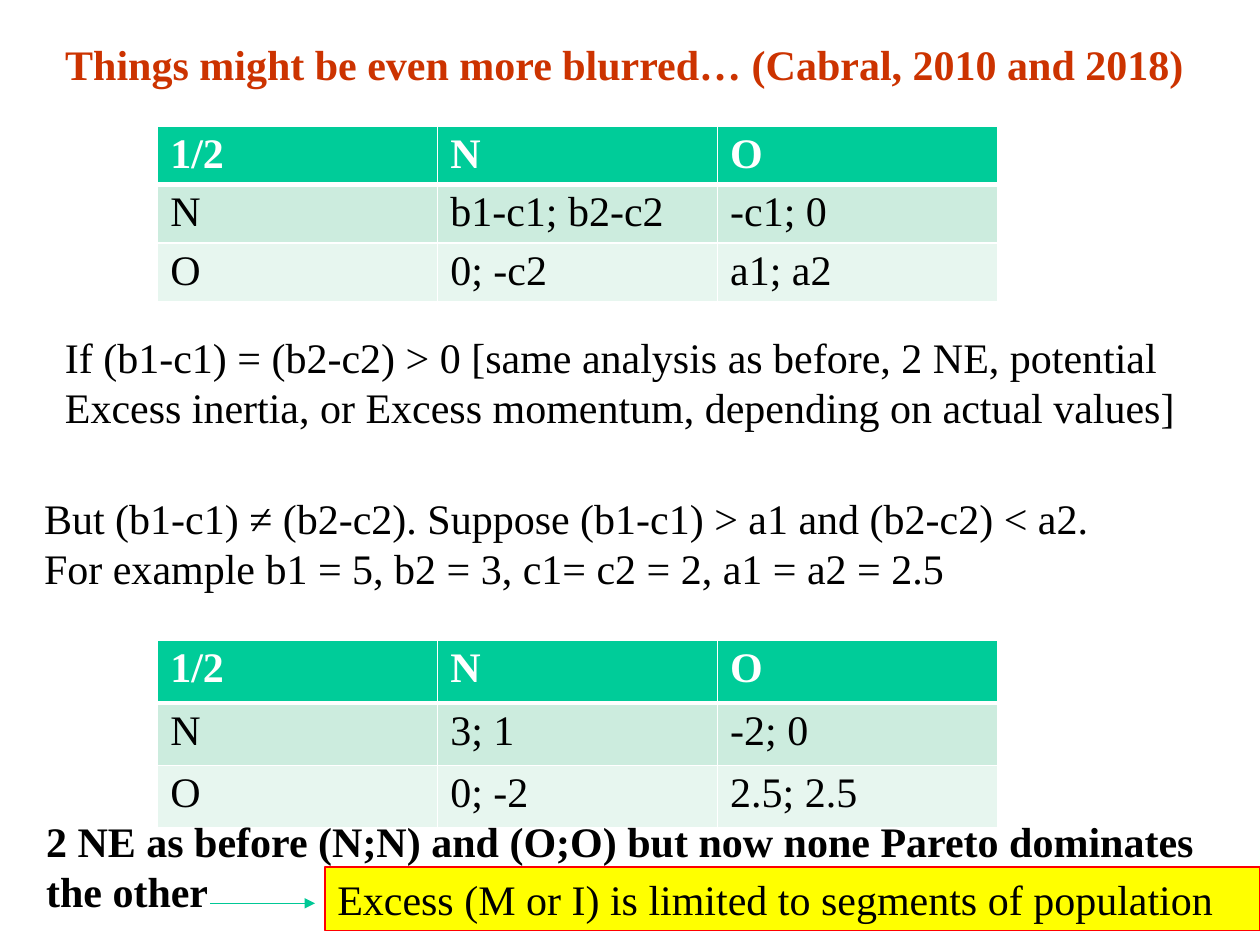
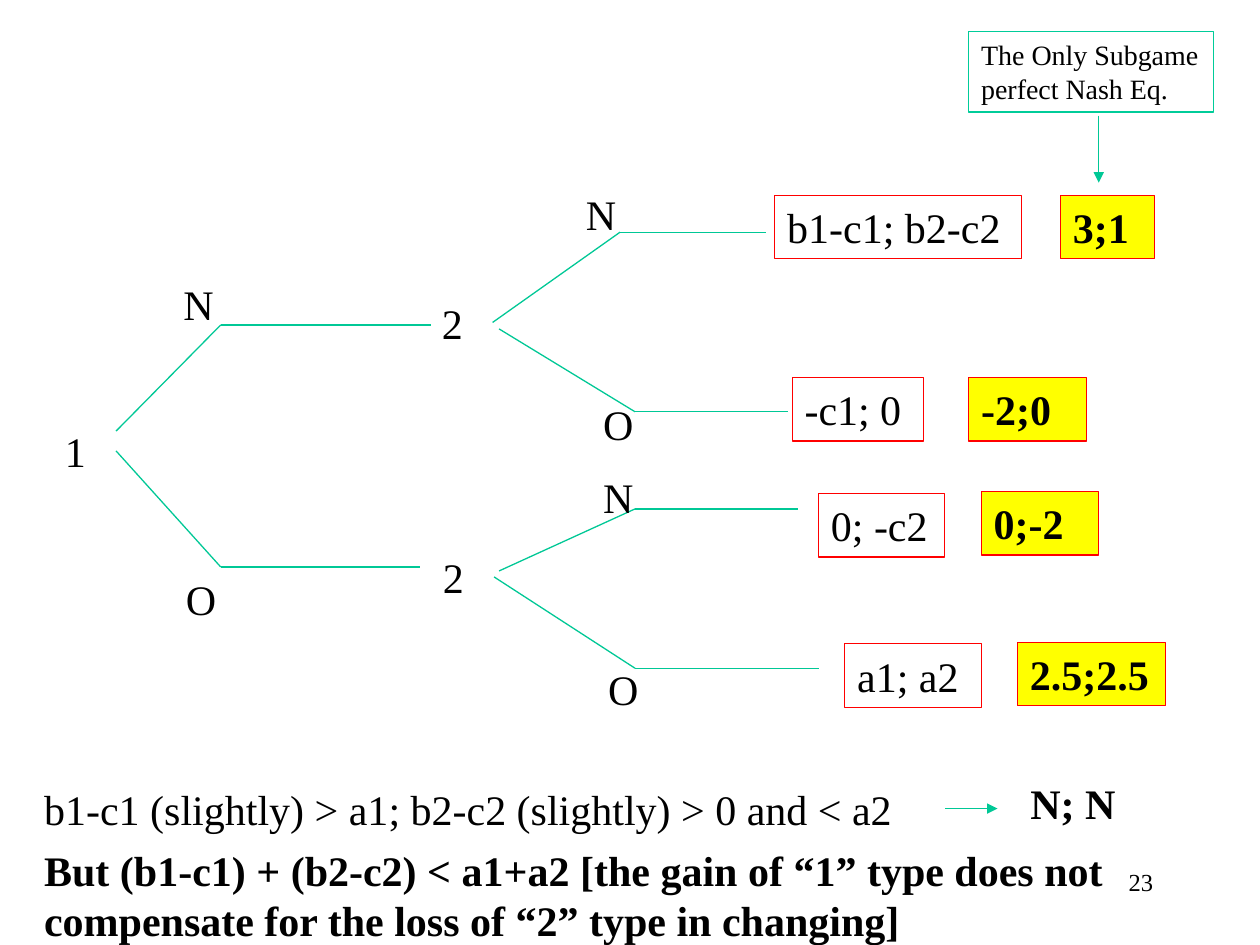
from lxml import etree
from pptx import Presentation
from pptx import util as u
from pptx.dml.color import RGBColor
from pptx.enum import shapes, text
from pptx.oxml.ns import qn

FONT = "Times New Roman"
COLORS = {
    "title": "CC3300", "text": "000000", "white": "FFFFFF",
    "header": "00CC99", "row_dark": "CCECDE", "row_light": "E7F6EF",
    "line": "00C896", "frame": "FF0000", "highlight": "FFFF00",
}
BOX_H = 1.28


def rgb(name):
    return RGBColor.from_string(COLORS[name])


def write(tf, content, size=24, color="text", bold=False, align=text.PP_ALIGN.LEFT):
    tf.text = content
    p = tf.paragraphs[0]
    p.alignment = align
    r = p.runs[0]
    r.font.name = FONT
    r.font.size = u.Pt(size)
    r.font.bold = bold
    r.font.color.rgb = rgb(color)


def place(sp, x, y, w, h):
    sp.left, sp.top, sp.width, sp.height = (u.Cm(v) for v in (x, y, w, h))


def set_frame(tf):
    tf.word_wrap = True
    tf.auto_size = text.MSO_AUTO_SIZE.NONE
    tf.vertical_anchor = text.MSO_ANCHOR.TOP
    tf.margin_left = tf.margin_right = u.Inches(0.1)
    tf.margin_top = tf.margin_bottom = u.Inches(0.05)


def add_title(s, content):
    sp = s.shapes.title
    place(sp, 1.06, 0.64, 23.5, BOX_H)
    set_frame(sp.text_frame)
    write(sp.text_frame, content, color="title", bold=True)


def add_text(s, content, x, y, w, h=BOX_H, **style):
    sp = s.shapes.add_textbox(*(u.Cm(v) for v in (x, y, w, h)))
    set_frame(sp.text_frame)
    write(sp.text_frame, content, **style)


def add_box(s, content, x, y, w, h=BOX_H, fill=None, line="frame", **style):
    sp = s.shapes.add_shape(shapes.MSO_SHAPE.RECTANGLE,
                            *(u.Cm(v) for v in (x, y, w, h)))
    sp.shadow.inherit = False
    if fill:
        sp.fill.solid()
        sp.fill.fore_color.rgb = rgb(fill)
    else:
        sp.fill.background()
    sp.line.color.rgb = rgb(line)
    sp.line.width = u.Pt(0.75)
    set_frame(sp.text_frame)
    write(sp.text_frame, content, **style)


def add_line(s, start, end, arrow=False):
    cx = s.shapes.add_connector(shapes.MSO_CONNECTOR.STRAIGHT,
                                *(u.Cm(v) for v in (*start, *end)))
    cx.line.color.rgb = rgb("line")
    cx.line.width = u.Pt(0.75)
    if arrow:
        etree.SubElement(cx.line._get_or_add_ln(), qn("a:tailEnd"), type="triangle")
    etree.SubElement(cx._element.spPr, qn("a:effectLst"))


def add_branch(s, start, bend, end_x):
    add_line(s, start, bend)
    add_line(s, bend, (end_x, bend[1]))


def set_borders(cell, widths):
    tc_pr = cell._tc.get_or_add_tcPr()
    for i, (side, width) in enumerate(widths.items()):
        ln = etree.Element(qn(f"a:ln{side}"), w=str(u.Pt(width)))
        fill = etree.SubElement(ln, qn("a:solidFill"))
        etree.SubElement(fill, qn("a:srgbClr"), val=COLORS["white"])
        tc_pr.insert(i, ln)


def add_payoff_table(s, y, row_h, rows):
    frame = s.shapes.add_table(len(rows), len(rows[0]), u.Cm(3.18), u.Cm(y),
                               u.Cm(16.93), u.Cm(row_h * len(rows)))
    table = frame.table
    fills = ("header", "row_dark", "row_light")
    for i, row in enumerate(rows):
        table.rows[i].height = u.Cm(row_h)
        for j, content in enumerate(row):
            cell = table.cell(i, j)
            cell.margin_top = cell.margin_bottom = u.Cm(0.1)
            cell.fill.solid()
            cell.fill.fore_color.rgb = rgb(fills[i])
            header = i == 0
            write(cell.text_frame, content, bold=header,
                  color="white" if header else "text")
            set_borders(cell, {"L": 1, "R": 1, "T": 3 if i == 1 else 1,
                               "B": 3 if header else 1})


def build_payoff_slide(prs):
    s = prs.slides.add_slide(prs.slide_layouts[5])
    add_title(s, "Things might be even more blurred… (Cabral, 2010 and 2018)")
    header = ("1/2", "N", "O")
    add_payoff_table(s, 2.54, 1.18, (header, ("N", "b1-c1; b2-c2", "-c1; 0"),
                                     ("O", "0; -c2", "a1; a2")))
    add_text(s, "If (b1-c1) = (b2-c2) > 0 [same analysis as before, 2 NE, potential "
             "Excess inertia, or Excess momentum, depending on actual values]",
             1.06, 6.56, 23.28, 2.31)
    add_text(s, "But (b1-c1) ≠ (b2-c2). Suppose (b1-c1) > a1 and (b2-c2) < a2. "
             "For example b1 = 5, b2 = 3, c1= c2 = 2, a1 = a2 = 2.5",
             0.64, 9.8, 22.44, 2.31)
    add_payoff_table(s, 12.91, 1.26, (header, ("N", "3; 1", "-2; 0"),
                                      ("O", "0; -2", "2.5; 2.5")))
    add_text(s, "2 NE as before (N;N) and (O;O) but now none Pareto dominates the other",
             0.68, 16.31, 24.5, 2.31, bold=True)
    add_line(s, (4.23, 18.21), (6.35, 18.21), arrow=True)
    add_box(s, "Excess (M or I) is limited to segments of population",
            6.55, 17.48, 18.85, fill="highlight")


def build_tree_slide(prs):
    s = prs.slides.add_slide(prs.slide_layouts[6])
    add_text(s, "23", 18.21, 17.35, 5.29, size=14, align=text.PP_ALIGN.RIGHT)

    branches = (
        ((2.34, 8.69), (4.45, 6.55), 8.69),
        ((2.34, 9.09), (4.45, 11.43), 8.46),
        ((9.93, 6.5), (12.5, 4.68), 15.44),
        ((10.06, 6.63), (12.8, 8.3), 15.88),
        ((10.06, 11.51), (12.8, 10.26), 16.08),
        ((9.96, 11.63), (12.8, 13.47), 16.51),
    )
    for branch in branches:
        add_branch(s, *branch)

    labels = (
        ("1", 1.06, 8.46, 1.27), ("N", 3.45, 5.49, 0.85), ("O", 3.5, 11.43, 0.85),
        ("2", 8.66, 5.87, 1.27), ("2", 8.68, 11, 1.27),
        ("N", 11.56, 3.68, 0.64), ("O", 11.91, 7.9, 1.16),
        ("N", 11.91, 9.38, 0.64), ("O", 12.01, 13.26, 0.95),
    )
    for label in labels:
        add_text(s, *label)

    payoffs = (
        ("b1-c1; b2-c2", 15.62, 3.94, 4.98), ("-c1; 0", 15.97, 7.61, 2.65),
        ("0; -c2", 16.5, 9.95, 2.54), ("a1; a2", 17.03, 12.98, 2.76),
    )
    for payoff in payoffs:
        add_box(s, *payoff)

    values = (
        ("3;1", 21.38, 3.94, 1.9), ("-2;0", 19.53, 7.61, 2.37),
        ("0;-2", 19.78, 9.91, 2.37), ("2.5;2.5", 20.51, 12.95, 2.98),
    )
    for value in values:
        add_box(s, *value, fill="highlight", bold=True)

    add_box(s, "The Only Subgame perfect Nash Eq.", 19.53, 0.64, 4.94, 1.62,
            line="header", size=16)
    add_line(s, (22.15, 2.33), (22.15, 3.68), arrow=True)

    add_text(s, "b1-c1 (slightly) > a1; b2-c2 (slightly) > 0 and < a2", 0.64, 15.66, 18.42)
    add_line(s, (19.05, 16.3), (20.11, 16.3), arrow=True)
    add_text(s, "N; N", 20.52, 15.54, 3.94, bold=True)
    add_text(s, "But (b1-c1) + (b2-c2) < a1+a2 [the gain of “1” type does not "
             "compensate for the loss of “2” type in changing]",
             0.64, 16.9, 23.83, 2.31, bold=True)


def main():
    prs = Presentation()
    prs.slide_width, prs.slide_height = u.Cm(25.4), u.Cm(19.05)
    build_payoff_slide(prs)
    build_tree_slide(prs)
    prs.save("out.pptx")


if __name__ == "__main__":
    main()
